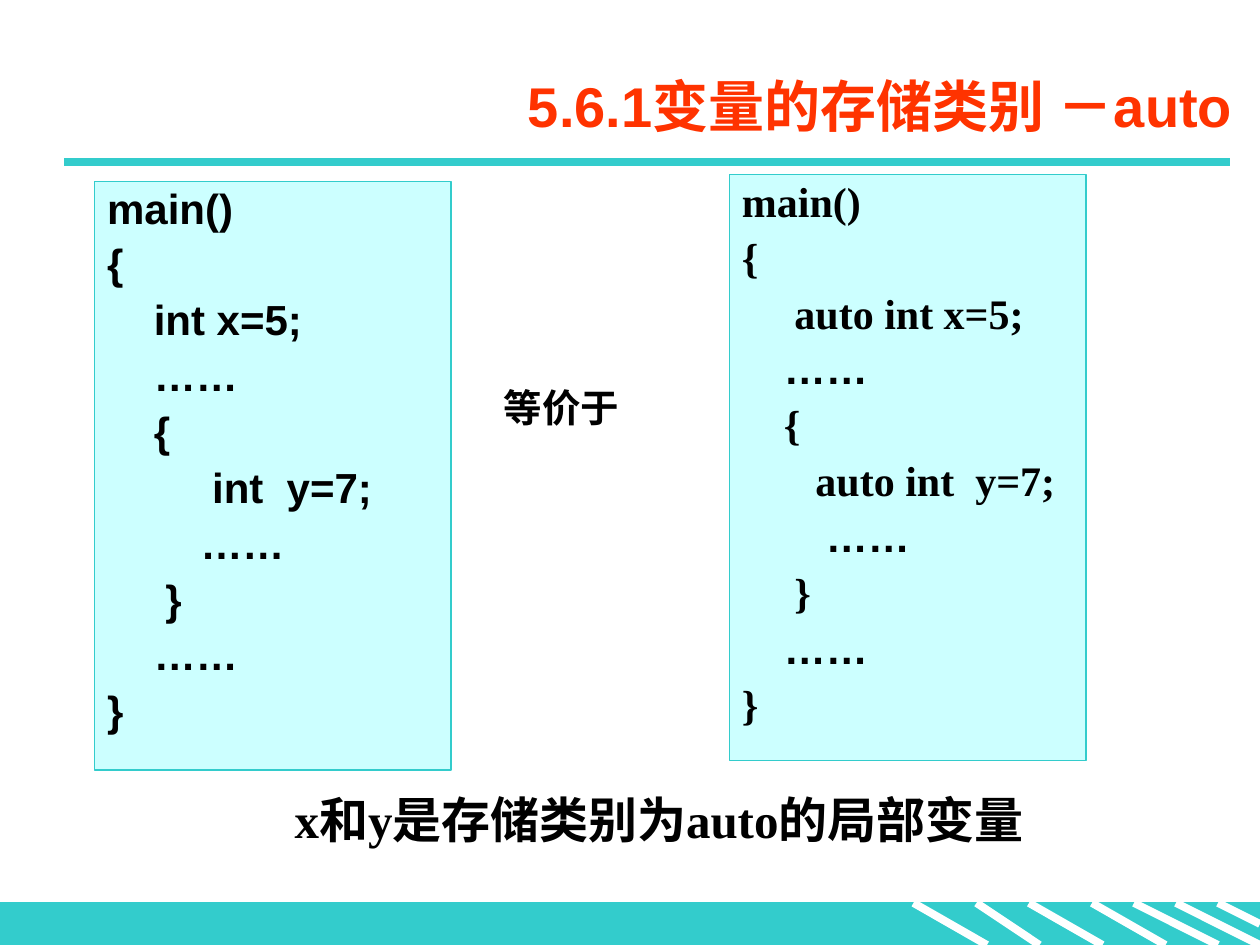
from collections import namedtuple
from lxml.etree import SubElement
from pptx import Presentation
from pptx.dml.color import RGBColor
from pptx.enum.shapes import MSO_CONNECTOR, MSO_SHAPE
from pptx.enum.text import MSO_ANCHOR, MSO_AUTO_SIZE, PP_ALIGN
from pptx.oxml.ns import qn
from pptx.util import Inches, Pt

WIDTH, HEIGHT = Inches(10), Inches(7.5)
COLUMNS = 120
TEAL, PALE, RED, BLACK, WHITE = "33CCCC", "CCFFFF", "FF3300", "000000", "FFFFFF"
SANS, SERIF = "Arial", "Times New Roman"
ELLIPSIS = "……"
STRIPES = [(87, 94, 1), (93, 99, 1), (98, 105, 1), (104, 111, 1),
           (108, 116, 1), (112, 120, 1), (116, 120, 0.5)]
PLAIN_CODE = [(0, "main()"), (0, "{"), (4, "int x=5;"), (4, ELLIPSIS), (4, "{"),
              (9, "int  y=7;"), (8, ELLIPSIS), (5, "}"), (4, ELLIPSIS), (0, "}")]
AUTO_CODE = [(0, "main()"), (0, "{"), (5, "auto int x=5;"), (4, ELLIPSIS), (4, "{"),
             (7, "auto int  y=7;"), (8, ELLIPSIS), (5, "}"), (4, ELLIPSIS), (0, "}")]
SPACE_SHARE = {SANS: 0.278, SERIF: 0.25}

Box = namedtuple("Box", "left top width height")


def region(left, top, width, height):
    return Box(int(WIDTH * left / 100), int(HEIGHT * top / 100),
               int(WIDTH * width / 100), int(HEIGHT * height / 100))


def colour(value):
    return RGBColor.from_string(value)


def place(part, box):
    part.left, part.top, part.width, part.height = box


def paint(part, fill, line):
    part.fill.solid()
    part.fill.fore_color.rgb = colour(fill)
    part.line.color.rgb = colour(line)
    part.line.width = Pt(0.75)


def style(paragraph, face, size, shade=BLACK):
    for run in paragraph.runs:
        run.font.name = face
        run.font.size = Pt(size)
        run.font.bold = True
        run.font.color.rgb = colour(shade)


def draw_line(slide, start, end, shade):
    line = slide.shapes.add_connector(MSO_CONNECTOR.STRAIGHT, *start, *end)
    line.line.color.rgb = colour(shade)
    line.line.width = Pt(4.5)
    SubElement(line._element.spPr, qn("a:effectLst"))


def add_footer(slide, box):
    band = slide.shapes.add_shape(MSO_SHAPE.RECTANGLE, *box)
    band.shadow.inherit = False
    paint(band, TEAL, TEAL)
    for start, end, drop in STRIPES:
        draw_line(slide, (box.left + box.width * start // COLUMNS, box.top),
                  (box.left + box.width * end // COLUMNS, box.top + int(box.height * drop)),
                  WHITE)


def add_rule(slide, box):
    draw_line(slide, (box.left, box.top), (box.left + box.width, box.top), TEAL)


def add_title(slide, box):
    title = slide.shapes.title
    place(title, box)
    frame = title.text_frame
    frame.text = "5.6.1变量的存储类别 －auto"
    frame.auto_size = MSO_AUTO_SIZE.NONE
    frame.vertical_anchor = MSO_ANCHOR.MIDDLE
    frame.paragraphs[0].alignment = PP_ALIGN.RIGHT
    style(frame.paragraphs[0], SANS, 32, RED)


def fill_code(panel, box, code, face, size=24):
    place(panel, box)
    paint(panel, PALE, TEAL)
    frame = panel.text_frame
    frame.text = "\n".join(text for _, text in code)
    frame.word_wrap = True
    frame.auto_size = MSO_AUTO_SIZE.NONE
    frame.vertical_anchor = MSO_ANCHOR.TOP
    for paragraph, (depth, text) in zip(frame.paragraphs, code):
        paragraph.alignment = PP_ALIGN.LEFT
        paragraph.line_spacing = 0.9
        paragraph.space_before = Pt(6)
        properties = paragraph._p.get_or_add_pPr()
        properties.set("marL", str(Pt(depth * SPACE_SHARE[face] * size)))
        properties.set("indent", "0")
        SubElement(properties, qn("a:buNone"))
        style(paragraph, SANS if text == ELLIPSIS else face, size)


def add_remark(slide, box, text, size, gap):
    frame = slide.shapes.add_textbox(*box).text_frame
    frame.text = text
    frame.word_wrap = True
    frame.auto_size = MSO_AUTO_SIZE.SHAPE_TO_FIT_TEXT
    paragraph = frame.paragraphs[0]
    paragraph.line_spacing = 0.9
    paragraph.space_before = Pt(gap)
    style(paragraph, SERIF, size)


def main():
    deck = Presentation()
    deck.slide_width, deck.slide_height = WIDTH, HEIGHT
    slide = deck.slides.add_slide(deck.slide_layouts[1])
    add_footer(slide, region(0, 95.55, 100, 4.45))
    add_rule(slide, region(5.1, 17.15, 92.5, 0))
    add_title(slide, region(13.8, 5.9, 85, 10.5))
    fill_code(slide.placeholders[1], region(7.5, 19.2, 28.3, 62.3), PLAIN_CODE, SANS)
    auto_box = region(57.9, 18.5, 28.3, 62)
    auto_panel = slide.shapes.add_shape(MSO_SHAPE.RECTANGLE, *auto_box)
    auto_panel.shadow.inherit = False
    fill_code(auto_panel, auto_box, AUTO_CODE, SERIF)
    add_remark(slide, region(22.4, 83.6, 66.1, 6.9), "x和y是存储类别为auto的局部变量", 28, 17.5)
    add_remark(slide, region(39, 40.5, 15.7, 5.7), "等价于", 22, 13.8)
    deck.save("out.pptx")


if __name__ == "__main__":
    main()
